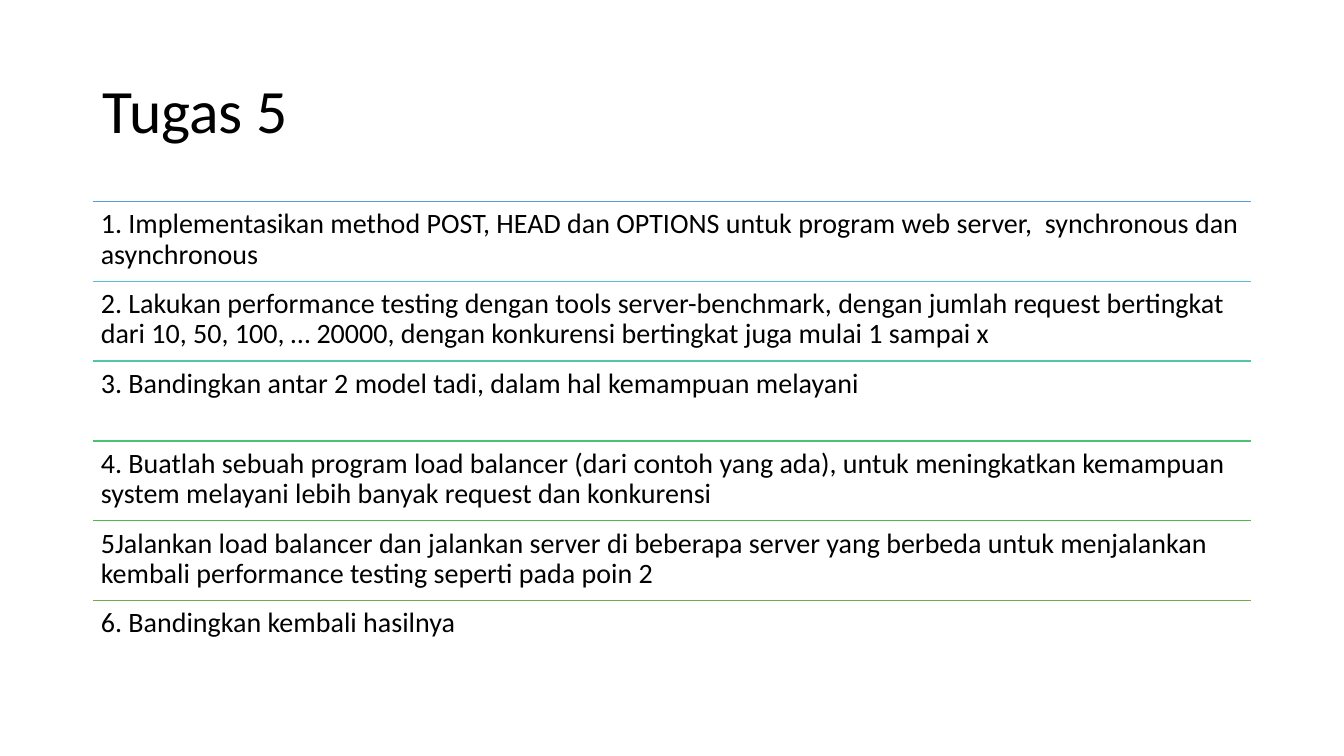
from lxml import etree
from pptx import Presentation
from pptx.dml.color import RGBColor
from pptx.enum.shapes import MSO_CONNECTOR
from pptx.enum.text import MSO_ANCHOR, MSO_AUTO_SIZE, PP_ALIGN
from pptx.oxml.ns import qn
from pptx.util import Inches, Pt

STRAIGHT = MSO_CONNECTOR.STRAIGHT
MIDDLE, TOP = MSO_ANCHOR.MIDDLE, MSO_ANCHOR.TOP
LEFT = PP_ALIGN.LEFT
FIXED = MSO_AUTO_SIZE.NONE

FONT = "Calibri"
COLORS = {
    "text": "000000",
    "blue": "5B9BD5",
    "cyan": "55C3CF",
    "teal": "50C8A7",
    "mint": "4BC174",
    "leaf": "4ABA46",
    "green": "70AD47",
}
TASKS = [
    ("blue", "1. Implementasikan method POST, HEAD dan OPTIONS untuk program "
             "web server,  synchronous dan asynchronous"),
    ("cyan", "2. Lakukan performance testing dengan tools server-benchmark, "
             "dengan jumlah request bertingkat dari 10, 50, 100, … 20000, "
             "dengan konkurensi bertingkat juga mulai 1 sampai x"),
    ("teal", "3. Bandingkan antar 2 model tadi, dalam hal kemampuan melayani"),
    ("mint", "4. Buatlah sebuah program load balancer (dari contoh yang ada), "
             "untuk meningkatkan kemampuan system melayani lebih banyak "
             "request dan konkurensi"),
    ("leaf", "5Jalankan load balancer dan jalankan server di beberapa server "
             "yang berbeda untuk menjalankan kembali performance testing "
             "seperti pada poin 2"),
    ("green", "6. Bandingkan kembali hasilnya"),
]


def color(name):
    return RGBColor.from_string(COLORS[name])


def write(shape, text, size, anchor, after=0):
    frame = shape.text_frame
    frame.text = text
    frame.word_wrap = True
    frame.auto_size = FIXED
    frame.vertical_anchor = anchor
    line = frame.paragraphs[0]
    line.alignment = LEFT
    line.line_spacing = 0.9
    line.space_before = Pt(0)
    line.space_after = Pt(after)
    font = line.runs[0].font
    font.name = FONT
    font.size = Pt(size)
    font.color.rgb = color("text")


def title(slide, box, text):
    shape = slide.shapes.title
    shape.left, shape.top, shape.width, shape.height = box
    write(shape, text, 44, MIDDLE)


def rule(shapes, left, top, width, tone):
    line = shapes.add_connector(STRAIGHT, left, top, left + width, top)
    line.line.color.rgb = color(tone)
    line.line.width = Pt(1)
    etree.SubElement(line._element.spPr, qn("a:effectLst"))


def tasks(slide, box, items):
    left, top, width, height = box
    shapes = slide.shapes.add_group_shape().shapes
    step = height / len(items)
    for row, (tone, text) in enumerate(items):
        y = round(top + row * step)
        rule(shapes, left, y, width, tone)
        cell = shapes.add_textbox(left, y, width, round(step))
        frame = cell.text_frame
        frame.margin_left = frame.margin_right = Inches(0.08)
        frame.margin_top = frame.margin_bottom = Inches(0.08)
        write(cell, text, 20, TOP, 7)


deck = Presentation()
deck.slide_width, deck.slide_height = Inches(13.33), Inches(7.5)
page = deck.slides.add_slide(deck.slide_layouts[5])
side = Inches(0.92)
wide = deck.slide_width - 2 * side
title(page, (side, Inches(0.4), wide, Inches(1.45)), "Tugas 5")
tasks(page, (side, Inches(2), wide, Inches(4.75)), TASKS)
deck.save("out.pptx")
